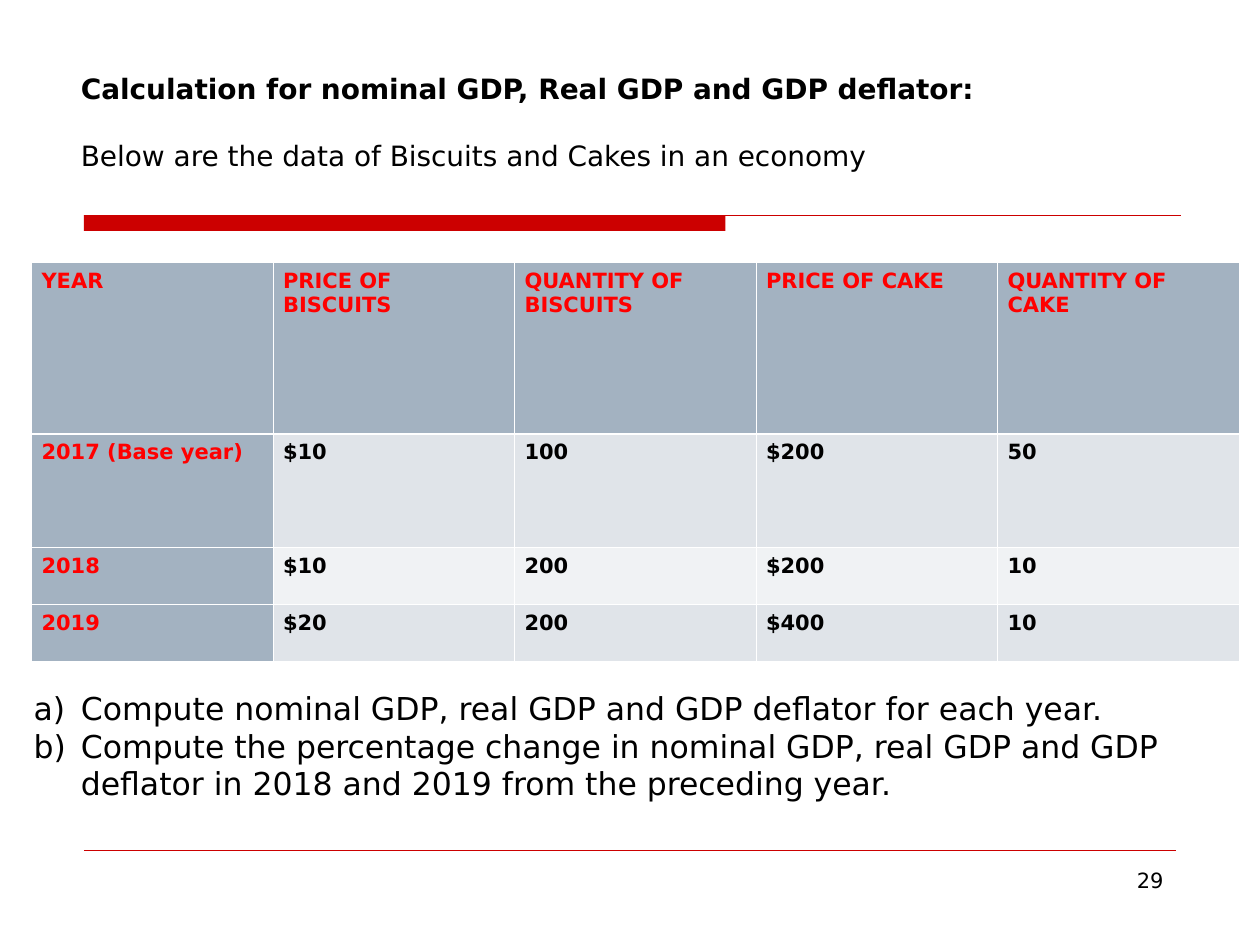
from dataclasses import dataclass

from lxml.etree import SubElement
from pptx import Presentation
from pptx.dml.color import RGBColor
from pptx.enum.shapes import MSO_CONNECTOR, MSO_SHAPE
from pptx.enum.text import MSO_ANCHOR, MSO_AUTO_SIZE, PP_ALIGN
from pptx.oxml import parse_xml
from pptx.oxml.ns import nsdecls, qn
from pptx.util import Emu, Inches, Pt

FONT = "DejaVu Sans"
BLACK = RGBColor(0x00, 0x00, 0x00)
WHITE = RGBColor(0xFF, 0xFF, 0xFF)
RULE_RED = RGBColor(0xCC, 0x00, 0x00)
LABEL_RED = RGBColor(0xFF, 0x00, 0x00)
HEADER_FILL = RGBColor(0xA3, 0xB2, 0xC1)
DARK_BAND = RGBColor(0xE0, 0xE4, 0xE9)
LIGHT_BAND = RGBColor(0xF0, 0xF2, 0xF4)
THIN_BORDER, THICK_BORDER = 0.45, 1.47


def grid(units: float) -> Emu:
    """Turn grid units into a length; the slide is 120 columns by 90 rows."""
    return Inches(units / 12)


@dataclass(frozen=True)
class Box:
    """A rectangle in grid units."""
    left: float
    top: float
    width: float
    height: float

    def lengths(self) -> tuple:
        """Give left, top, width and height as slide lengths."""
        return tuple(grid(u) for u in (self.left, self.top, self.width, self.height))


@dataclass(frozen=True)
class Rule:
    """A horizontal line in grid units with its width in points."""
    left: float
    right: float
    top: float
    points: float


RULES = [Rule(8, 112.5, 20.5, 0.74), Rule(8, 112, 81, 0.26)]
HEADING_BAR = Box(8, 20.5, 61.1, 1.5)
TITLE_BOX = Box(6.5, 10, 105, 7)
TABLE_BOX = Box(3, 25, 115, 38)
QUESTIONS_BOX = Box(2, 65, 114, 12)
NUMBER_BOX = Box(86, 82, 26, 6.25)
ROW_HEIGHTS = [16.3, 10.84, 5.43, 5.43]
TABLE_ROWS = [
    ["YEAR", "PRICE OF BISCUITS", "QUANTITY OF BISCUITS", "PRICE OF CAKE", "QUANTITY OF CAKE"],
    ["2017 (Base year)", "$10", "100", "$200", "50"],
    ["2018", "$10", "200", "$200", "10"],
    ["2019", "$20", "200", "$400", "10"],
]
QUESTIONS = [
    "Compute nominal GDP, real GDP and GDP deflator for each year.",
    "Compute the percentage change in nominal GDP, real GDP and GDP deflator "
    "in 2018 and 2019 from the preceding year.",
]


def place(shape, box: Box) -> None:
    """Move a shape to a box."""
    shape.left, shape.top, shape.width, shape.height = box.lengths()


def add_run(paragraph, text: str, size: float, bold: bool = False,
            color: RGBColor = BLACK) -> None:
    """Add one formatted run to a paragraph."""
    run = paragraph.add_run()
    run.text = text
    run.font.name, run.font.size, run.font.bold = FONT, Pt(size), bold
    run.font.color.rgb = color


def add_rule(slide, rule: Rule) -> None:
    """Draw a red horizontal line."""
    top = grid(rule.top)
    line = slide.shapes.add_connector(
        MSO_CONNECTOR.STRAIGHT, grid(rule.left), top, grid(rule.right), top)
    line.line.color.rgb = RULE_RED
    line.line.width = Pt(rule.points)
    SubElement(line._element.spPr, qn("a:effectLst"))


def add_heading_bar(slide) -> None:
    """Draw the solid red bar under the title."""
    bar = slide.shapes.add_shape(MSO_SHAPE.RECTANGLE, *HEADING_BAR.lengths())
    bar.shadow.inherit = False
    bar.fill.solid()
    bar.fill.fore_color.rgb = RULE_RED
    bar.line.fill.background()


def fill_title(title) -> None:
    """Write the heading and its introduction into the title."""
    place(title, TITLE_BOX)
    frame = title.text_frame
    frame.auto_size = MSO_AUTO_SIZE.NONE
    frame.vertical_anchor = MSO_ANCHOR.BOTTOM
    heading, introduction = frame.paragraphs[0], frame.add_paragraph()
    add_run(heading, "Calculation for nominal GDP, Real GDP and GDP deflator:", 16, bold=True)
    add_run(introduction, "Below are the data of Biscuits and Cakes in an economy", 16)
    introduction.space_before = Pt(19)
    for paragraph in (heading, introduction):
        paragraph.alignment = PP_ALIGN.LEFT


def fill_questions(body) -> None:
    """Write the lettered questions into the body."""
    place(body, QUESTIONS_BOX)
    frame = body.text_frame
    frame.auto_size = MSO_AUTO_SIZE.NONE
    for index, question in enumerate(QUESTIONS):
        paragraph = frame.add_paragraph() if index else frame.paragraphs[0]
        paragraph.space_before = Pt(0)
        add_run(paragraph, question, 18)
        properties = paragraph._p.get_or_add_pPr()
        properties.set("marL", str(grid(4.5)))
        properties.set("indent", str(-grid(4.5)))
        SubElement(properties, qn("a:buFont"), typeface=FONT)
        SubElement(properties, qn("a:buAutoNum"), type="alphaLcParenR")


def set_borders(cell, row: int) -> None:
    """Give a cell white borders, thicker between header and data."""
    widths = {
        "L": THIN_BORDER,
        "R": THIN_BORDER,
        "T": THICK_BORDER if row == 1 else THIN_BORDER,
        "B": THICK_BORDER if row == 0 else THIN_BORDER,
    }
    properties = cell._tc.get_or_add_tcPr()
    for position, (side, points) in enumerate(widths.items()):
        properties.insert(position, parse_xml(
            f'<a:ln{side} {nsdecls("a")} w="{Pt(points)}"><a:solidFill>'
            f'<a:srgbClr val="{WHITE}"/></a:solidFill></a:ln{side}>'))


def add_data_table(slide) -> None:
    """Draw the table of prices and quantities."""
    table = slide.shapes.add_table(
        len(TABLE_ROWS), len(TABLE_ROWS[0]), *TABLE_BOX.lengths()).table
    table.first_col = True
    for column in table.columns:
        column.width = grid(TABLE_BOX.width / len(TABLE_ROWS[0]))
    for row, texts in enumerate(TABLE_ROWS):
        table.rows[row].height = grid(ROW_HEIGHTS[row])
        for column, text in enumerate(texts):
            cell = table.cell(row, column)
            is_label = row == 0 or column == 0
            band = DARK_BAND if row % 2 else LIGHT_BAND
            cell.margin_left = cell.margin_right = Inches(0.08)
            cell.fill.solid()
            cell.fill.fore_color.rgb = HEADER_FILL if is_label else band
            add_run(cell.text_frame.paragraphs[0], text, 12, bold=True,
                    color=LABEL_RED if is_label else BLACK)
            set_borders(cell, row)


def add_slide_number(slide) -> None:
    """Write the slide number at the lower right."""
    frame = slide.shapes.add_textbox(*NUMBER_BOX.lengths()).text_frame
    frame.word_wrap = True
    paragraph = frame.paragraphs[0]
    paragraph.alignment = PP_ALIGN.RIGHT
    add_run(paragraph, "29", 12)


def main() -> None:
    """Build and save the slide."""
    presentation = Presentation()
    presentation.slide_width, presentation.slide_height = grid(120), grid(90)
    slide = presentation.slides.add_slide(presentation.slide_layouts[1])
    add_heading_bar(slide)
    for rule in RULES:
        add_rule(slide, rule)
    fill_title(slide.shapes.title)
    add_data_table(slide)
    add_slide_number(slide)
    fill_questions(slide.placeholders[1])
    presentation.save("out.pptx")


main()
